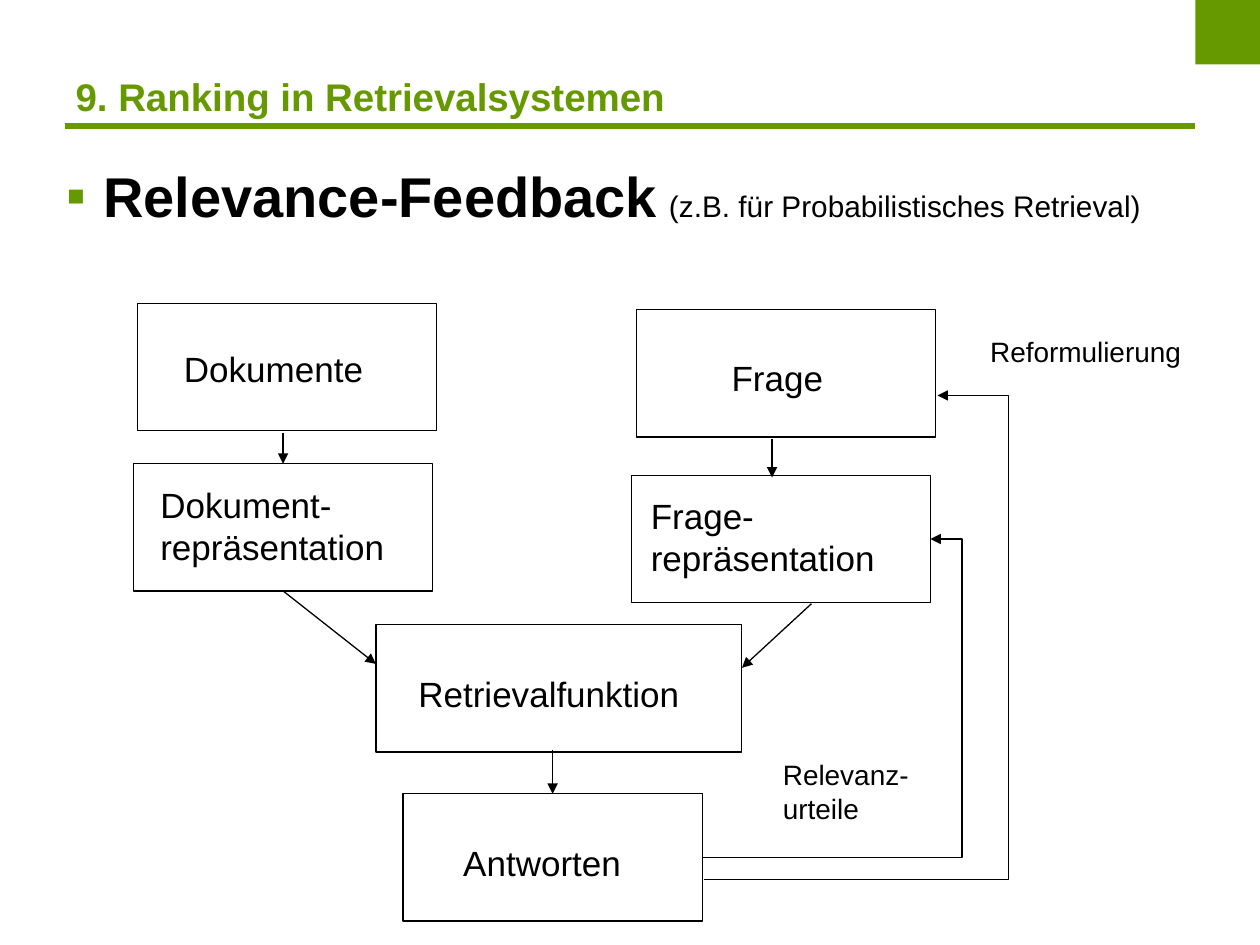
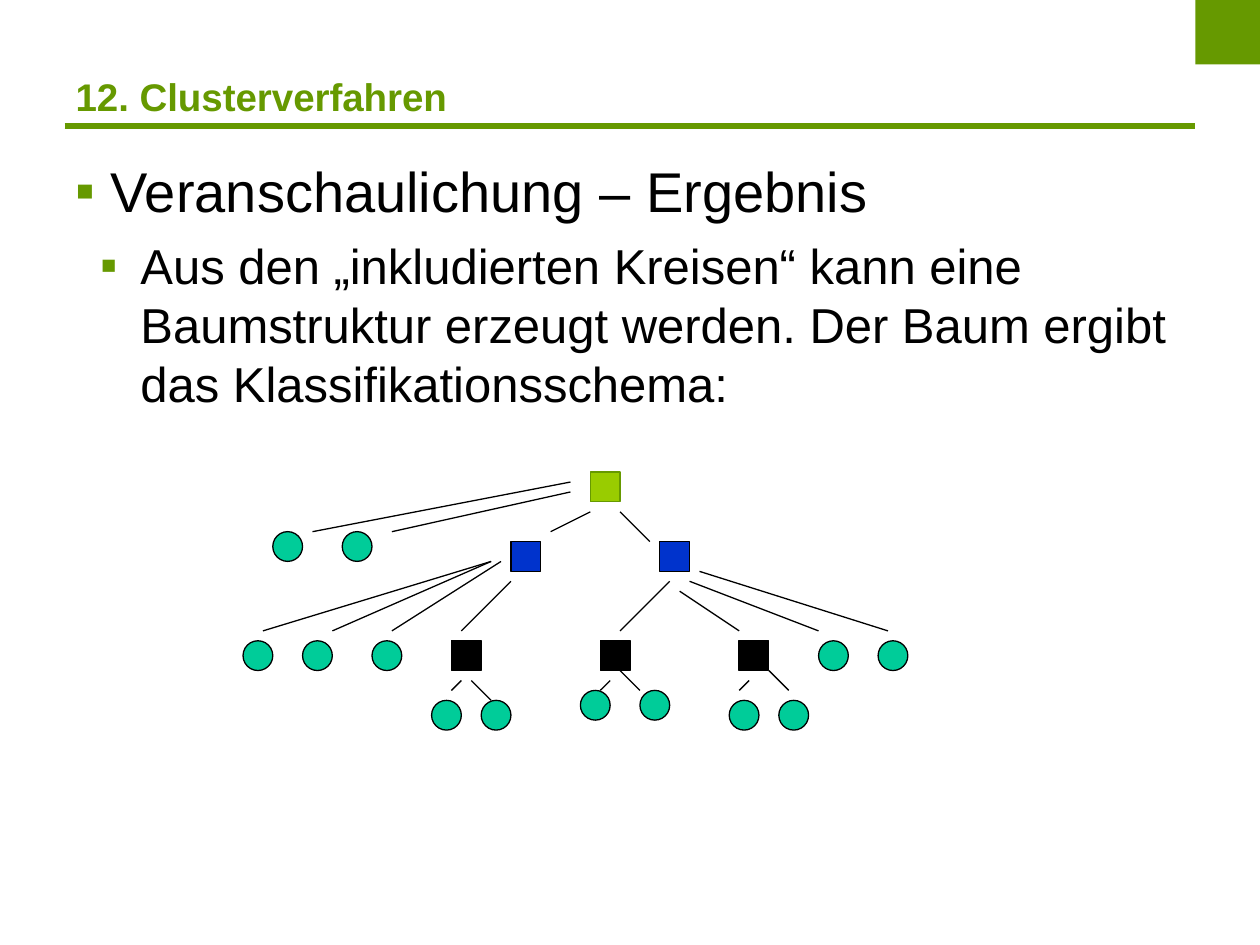
import pptx
import pptx.dml.color
import pptx.enum.shapes
import pptx.enum.text
import pptx.oxml
import pptx.oxml.ns
import pptx.util
from typing import NamedTuple, Optional

FONT = "Arial"
GREEN, BLACK, TEAL, LIME, BLUE = "669900", "000000", "00CC99", "99CC00", "0033CC"
RECT = pptx.enum.shapes.MSO_SHAPE.RECTANGLE
OVAL = pptx.enum.shapes.MSO_SHAPE.OVAL
STRAIGHT = pptx.enum.shapes.MSO_CONNECTOR.STRAIGHT
ELBOW = pptx.enum.shapes.MSO_CONNECTOR.ELBOW
BOTTOM, TOP = 2, 0
BAND_LEFT, BAND_RIGHT = 37, 683
BOX_W, BOX_H = 171, 72.7
GRID, TREE_LEFT, TREE_TOP = 5.67, 138.9, 269.8
NODE_SIZE = 3


class Box(NamedTuple):
    key: str
    left: float
    top: float
    width: float = BOX_W


class Label(NamedTuple):
    lines: str
    left: float
    top: float
    width: float
    size: float = 20


class Arrow(NamedTuple):
    x1: float
    y1: float
    x2: float
    y2: float
    source: Optional[str] = None
    target: Optional[str] = None


class Feedback(NamedTuple):
    x1: float
    y1: float
    x2: float
    y2: float
    bend: float


class Level(NamedTuple):
    shape: int
    fill: str
    line: str
    row: int
    columns: tuple


class Branch(NamedTuple):
    x1: int
    y1: int
    x2: int
    y2: int


BOXES = [
    Box("documents", 78.5, 173.5),
    Box("document_rep", 76.3, 265),
    Box("question", 363.6, 177),
    Box("question_rep", 360.7, 271.7),
    Box("retrieval", 214.8, 357, 209),
    Box("answers", 230.3, 453.6),
]
LABELS = [
    Label("Dokumente", 98, 194.8, 119),
    Label("Frage", 411, 200, 69),
    Label("Dokument-\nrepräsentation", 84.5, 273, 145),
    Label("Frage-\nrepräsentation", 364.8, 279, 145),
    Label("Retrievalfunktion", 232, 381, 166),
    Label("Antworten", 257.6, 477.4, 107),
    Label("Relevanz-\nurteile", 440.3, 429.3, 89, 16),
    Label("Reformulierung", 558.7, 187.5, 126, 16),
]
ARROWS = [
    Arrow(161.8, 247.7, 161.8, 265, target="document_rep"),
    Arrow(159, 337.7, 214.8, 379.4, source="document_rep"),
    Arrow(463.7, 345, 424, 381.6),
    Arrow(441.2, 250.6, 441.2, 272.9),
    Arrow(315.8, 428.4, 315.8, 453.6, target="answers"),
]
FEEDBACKS = [
    Feedback(401.3, 489.9, 531.7, 308, 1.138),
    Feedback(402.5, 502.6, 535.7, 226, 1.304),
]
LEVELS = [
    Level(RECT, LIME, GREEN, 0, (35,)),
    Level(OVAL, TEAL, BLACK, 6, (3, 10)),
    Level(RECT, BLUE, BLACK, 7, (27, 42)),
    Level(OVAL, TEAL, BLACK, 17, (0, 6, 13, 58, 64)),
    Level(RECT, BLACK, BLACK, 17, (21, 36, 50)),
    Level(OVAL, TEAL, BLACK, 22, (34, 40)),
    Level(OVAL, TEAL, BLACK, 23, (19, 24, 49, 54)),
]
BRANCHES = [
    Branch(38, 4, 41, 7), Branch(35, 4, 31, 6),
    Branch(33, 2, 15, 6), Branch(33, 1, 7, 6),
    Branch(27, 11, 22, 16), Branch(26, 9, 15, 16),
    Branch(25, 9, 9, 16), Branch(25, 9, 2, 16),
    Branch(43, 11, 38, 16), Branch(44, 12, 50, 16),
    Branch(45, 11, 58, 16), Branch(46, 10, 65, 16),
    Branch(22, 21, 21, 22), Branch(23, 21, 25, 23),
    Branch(37, 21, 36, 22), Branch(38, 20, 40, 22),
    Branch(51, 21, 50, 22), Branch(53, 20, 55, 22),
]


def rgb(value: str) -> pptx.dml.color.RGBColor:
    return pptx.dml.color.RGBColor.from_string(value)


def points(*values: float) -> list:
    return [pptx.util.Pt(value) for value in values]


def style(font, size: float, color: str = BLACK, bold: bool = False) -> None:
    font.name = FONT
    font.size = pptx.util.Pt(size)
    font.bold = bold
    font.color.rgb = rgb(color)


def add_child(parent, tag: str, **attributes: str):
    child = pptx.oxml.parse_xml(f"<a:{tag} {pptx.oxml.ns.nsdecls('a')}/>")
    for name, value in attributes.items():
        child.set(name, value)
    parent.append(child)
    return child


def add_shape(slide, kind, left, top, width, height,
              fill: Optional[str] = None, line: Optional[str] = None):
    sp = slide.shapes.add_shape(kind, *points(left, top, width, height))
    sp.shadow.inherit = False
    if fill:
        sp.fill.solid()
        sp.fill.fore_color.rgb = rgb(fill)
    else:
        sp.fill.background()
    if line:
        sp.line.color.rgb = rgb(line)
        sp.line.width = pptx.util.Pt(0.75)
    else:
        sp.line.fill.background()
    return sp


def add_line(slide, x1, y1, x2, y2, color: str = BLACK, width: float = 0.75,
             arrow: bool = False, kind=STRAIGHT):
    line = slide.shapes.add_connector(kind, *points(x1, y1, x2, y2))
    line.line.color.rgb = rgb(color)
    line.line.width = pptx.util.Pt(width)
    properties = line._element.spPr
    if arrow:
        add_child(properties.find(pptx.oxml.ns.qn("a:ln")), "tailEnd", type="triangle")
    add_child(properties, "effectLst")
    return line


def add_feedback(slide, feedback: Feedback) -> None:
    line = add_line(slide, *feedback[:4], arrow=True, kind=ELBOW)
    geometry = line._element.spPr.find(pptx.oxml.ns.qn("a:prstGeom"))
    guides = geometry.find(pptx.oxml.ns.qn("a:avLst"))
    if guides is None:
        guides = add_child(geometry, "avLst")
    add_child(guides, "gd", name="adj1", fmla=f"val {round(feedback.bend * 100000)}")


def add_label(slide, label: Label) -> None:
    lines = label.lines.split("\n")
    height = 7.2 + 1.15 * label.size * len(lines)
    tf = slide.shapes.add_textbox(*points(label.left, label.top, label.width, height)).text_frame
    tf.word_wrap = False
    tf.auto_size = pptx.enum.text.MSO_AUTO_SIZE.SHAPE_TO_FIT_TEXT
    tf.text = label.lines
    for p in tf.paragraphs:
        style(p.font, label.size)


def add_body(slide, left, top, height):
    tf = slide.shapes.add_textbox(*points(left, top, 648, height)).text_frame
    tf.word_wrap = True
    return tf


def format_bullet(p, margin: float, indent: float) -> None:
    properties = p._p.get_or_add_pPr()
    properties.set("marL", str(pptx.util.Pt(margin)))
    properties.set("indent", str(pptx.util.Pt(indent)))
    add_child(add_child(properties, "buClr"), "srgbClr", val=GREEN)
    add_child(properties, "buFont", typeface=FONT)
    add_child(properties, "buChar", char="▪")


def add_titled_slide(prs, title: str):
    slide = prs.slides.add_slide(prs.slide_layouts[5])
    add_line(slide, BAND_LEFT, 71.5, BAND_RIGHT, 71.5, GREEN, 2.75)
    add_line(slide, BAND_LEFT, 73.5, BAND_RIGHT, 73.5, GREEN)
    add_shape(slide, RECT, BAND_RIGHT, 0, 37, 36.8, GREEN)
    sp = slide.shapes.title
    sp.left, sp.top, sp.width, sp.height = points(36, 10, 648, 90)
    tf = sp.text_frame
    tf.text = title
    tf.vertical_anchor = pptx.enum.text.MSO_ANCHOR.MIDDLE
    p = tf.paragraphs[0]
    p.alignment = pptx.enum.text.PP_ALIGN.LEFT
    style(p.font, 22, GREEN, True)
    return slide


def build_feedback_slide(prs) -> None:
    slide = add_titled_slide(prs, "9. Ranking in Retrievalsystemen")
    p = add_body(slide, 31, 88.5, 356).paragraphs[0]
    format_bullet(p, 20.8, -20.8)
    for text, size, bold in (("Relevance-Feedback", 32, True), (" ", 23, False),
                             ("(z.B. für Probabilistisches Retrieval)", 17, False)):
        r = p.add_run()
        r.text = text
        style(r.font, size, bold=bold)
    boxes = {box.key: add_shape(slide, RECT, box.left, box.top, box.width, BOX_H, line=BLACK)
             for box in BOXES}
    for label in LABELS:
        add_label(slide, label)
    for arrow in ARROWS:
        line = add_line(slide, *arrow[:4], arrow=True)
        if arrow.source:
            line.begin_connect(boxes[arrow.source], BOTTOM)
        if arrow.target:
            line.end_connect(boxes[arrow.target], TOP)
    for feedback in FEEDBACKS:
        add_feedback(slide, feedback)


def build_cluster_slide(prs) -> None:
    slide = add_titled_slide(prs, "12. Clusterverfahren")
    tf = add_body(slide, 36, 85.7, 396)
    p = tf.paragraphs[0]
    p.text = "Veranschaulichung – Ergebnis"
    format_bullet(p, 20.2, -20.2)
    style(p.font, 32)
    p = tf.add_paragraph()
    p.text = ("Aus den „inkludierten Kreisen“ kann eine Baumstruktur erzeugt werden. "
              "Der Baum ergibt das Klassifikationsschema:")
    p.level = 1
    p.space_before = pptx.util.Pt(7)
    format_bullet(p, 37.2, -23)
    style(p.font, 28)
    for level in LEVELS:
        for column in level.columns:
            add_shape(slide, level.shape, TREE_LEFT + column * GRID, TREE_TOP + level.row * GRID,
                      NODE_SIZE * GRID, NODE_SIZE * GRID, level.fill, level.line)
    for branch in BRANCHES:
        add_line(slide, TREE_LEFT + branch.x1 * GRID, TREE_TOP + branch.y1 * GRID,
                 TREE_LEFT + branch.x2 * GRID, TREE_TOP + branch.y2 * GRID)


def main() -> None:
    prs = pptx.Presentation()
    prs.slide_width, prs.slide_height = points(720, 540)
    build_feedback_slide(prs)
    build_cluster_slide(prs)
    prs.save("out.pptx")


if __name__ == "__main__":
    main()
